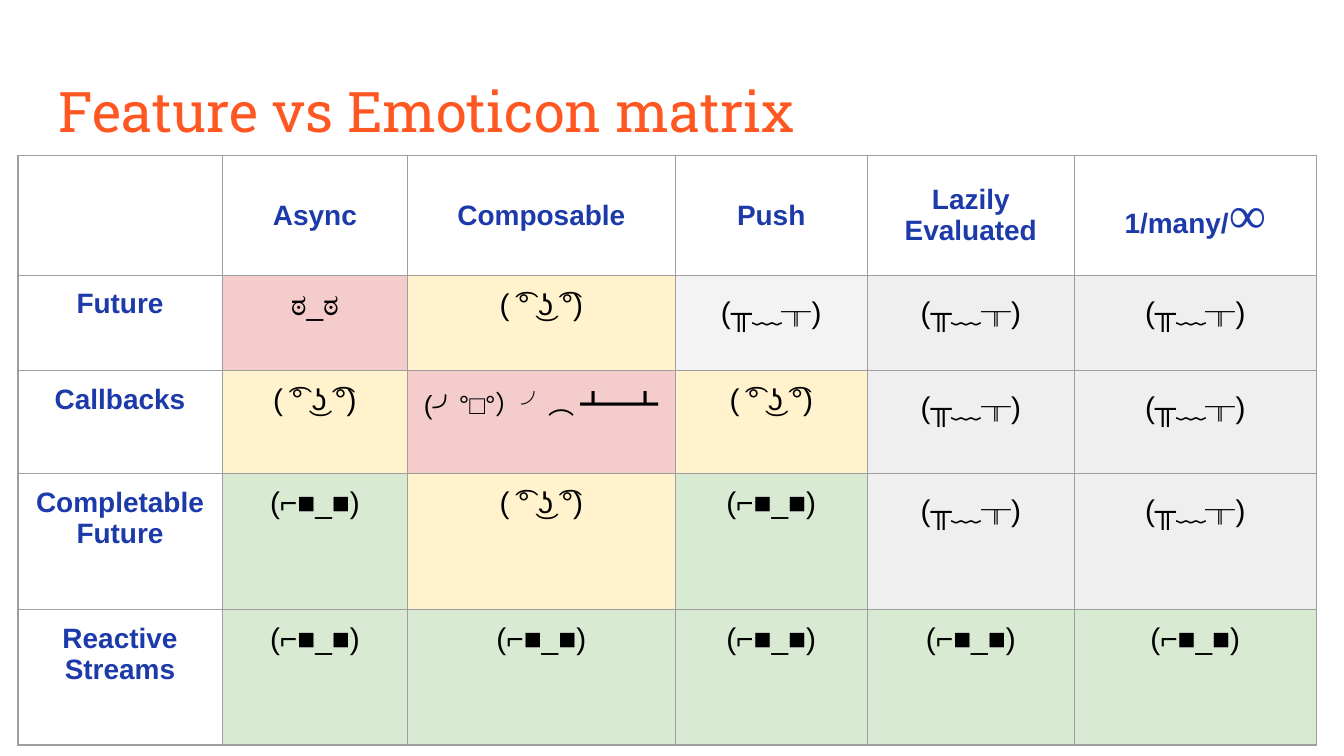
from lxml.etree import SubElement
from pptx import Presentation
from pptx.dml.color import RGBColor as RGB
from pptx.enum.text import MSO_ANCHOR as ANCHOR, PP_ALIGN as ALIGN
from pptx.oxml.ns import qn
from pptx.util import Pt

THEME = {
    "title": {"name": "Roboto Slab", "size": 30, "bold": False, "color": "FF5722"},
    "label": {"name": "Arial", "size": 15, "bold": True, "color": "1C3AA9"},
    "infinity": {"name": "Times New Roman", "size": 28, "bold": False, "color": "1C3AA9"},
    "face": {"name": "Arial", "size": 16, "bold": False, "color": "000000"},
    "wide_face": {"name": "Arial", "size": 14, "bold": False, "color": "000000"},
    "border": "9E9E9E",
    "red": "F4CCCC",
    "yellow": "FFF2CC",
    "green": "D9EAD3",
    "gray": "EFEFEF",
    "light_gray": "F3F3F3",
}
TITLE = "Feature vs Emoticon matrix"
FACES = {
    "stare": ("ಠ_ಠ", "face", "red"),
    "smirk": ("( ͡° ͜ʖ ͡°)", "face", "yellow"),
    "flip": ("(╯°□°）╯︵ ┻━┻", "wide_face", "red"),
    "cool": ("(⌐■_■)", "face", "green"),
    "cry": ("(╥﹏╥)", "face", "gray"),
    "pale_cry": ("(╥﹏╥)", "face", "light_gray"),
}
HEADERS = ["", "Async", "Composable", "Push", "Lazily\nEvaluated", "1/many/∞"]
ROWS = [
    ("Future", ["stare", "smirk", "pale_cry", "cry", "cry"]),
    ("Callbacks", ["smirk", "flip", "smirk", "cry", "cry"]),
    ("Completable\nFuture", ["cool", "smirk", "cool", "cry", "cry"]),
    ("Reactive\nStreams", ["cool"] * 5),
]
COL_WIDTHS = [109.4, 99.4, 143.3, 103, 110.9, 129.6]
ROW_HEIGHTS = [64.1, 51.1, 51.1, 72.7, 72.7]
LEFT, TOP, INSET = 9.6, 83.3, 7.2


def add_run(p, text, style):
    r = p.add_run()
    r.text = text
    look = THEME[style]
    r.font.color.rgb = RGB.from_string(look["color"])
    values = {"name": look["name"], "size": Pt(look["size"]), "bold": look["bold"]}
    for key, value in values.items():
        setattr(r.font, key, value)


def write(tf, text, style, align):
    for i, line in enumerate(text.split("\n")):
        p = tf.add_paragraph() if i else tf.paragraphs[0]
        p.alignment = align
        words, sign, _ = line.partition("∞")
        if words:
            add_run(p, words, style)
        if sign:
            add_run(p, sign, "infinity")


def set_insets(box):
    for side in ("left", "right", "top", "bottom"):
        setattr(box, f"margin_{side}", Pt(INSET))


def set_borders(cell):
    props = cell._tc.get_or_add_tcPr()
    for i, tag in enumerate(("a:lnL", "a:lnR", "a:lnT", "a:lnB")):
        line = SubElement(props, qn(tag), w=str(Pt(0.75)))
        props.insert(i, line)
        fill = SubElement(line, qn("a:solidFill"))
        SubElement(fill, qn("a:srgbClr"), val=THEME["border"])


def fill_cell(cell, text, style, color=None, anchor=ANCHOR.TOP):
    set_insets(cell)
    cell.vertical_anchor = anchor
    write(cell.text_frame, text, style, ALIGN.CENTER)
    if color:
        cell.fill.solid()
        cell.fill.fore_color.rgb = RGB.from_string(THEME[color])
    else:
        cell.fill.background()
    set_borders(cell)


def add_matrix(s):
    frame = s.shapes.add_table(len(ROW_HEIGHTS), len(COL_WIDTHS), Pt(LEFT), Pt(TOP),
                               Pt(sum(COL_WIDTHS)), Pt(sum(ROW_HEIGHTS)))
    table = frame.table
    table.first_row = table.horz_banding = False
    for col, width in zip(table.columns, COL_WIDTHS):
        col.width = Pt(width)
    for row, height in zip(table.rows, ROW_HEIGHTS):
        row.height = Pt(height)
    for c, header in enumerate(HEADERS):
        fill_cell(table.cell(0, c), header, "label", anchor=ANCHOR.MIDDLE)
    for r, (label, faces) in enumerate(ROWS, 1):
        fill_cell(table.cell(r, 0), label, "label")
        for c, face in enumerate(faces, 1):
            fill_cell(table.cell(r, c), *FACES[face])


def add_title(s):
    tf = s.shapes.add_textbox(Pt(24.5), Pt(35.3), Pt(671), Pt(45.4)).text_frame
    tf.word_wrap = True
    set_insets(tf)
    tf.margin_top = Pt(5.5)
    write(tf, TITLE, "title", ALIGN.LEFT)


def main():
    """Build the slide comparing async features by emoticon."""
    prs = Presentation()
    prs.slide_width, prs.slide_height = Pt(720), Pt(405)
    s = prs.slides.add_slide(prs.slide_layouts[6])
    add_matrix(s)
    add_title(s)
    prs.save("out.pptx")


if __name__ == "__main__":
    main()
